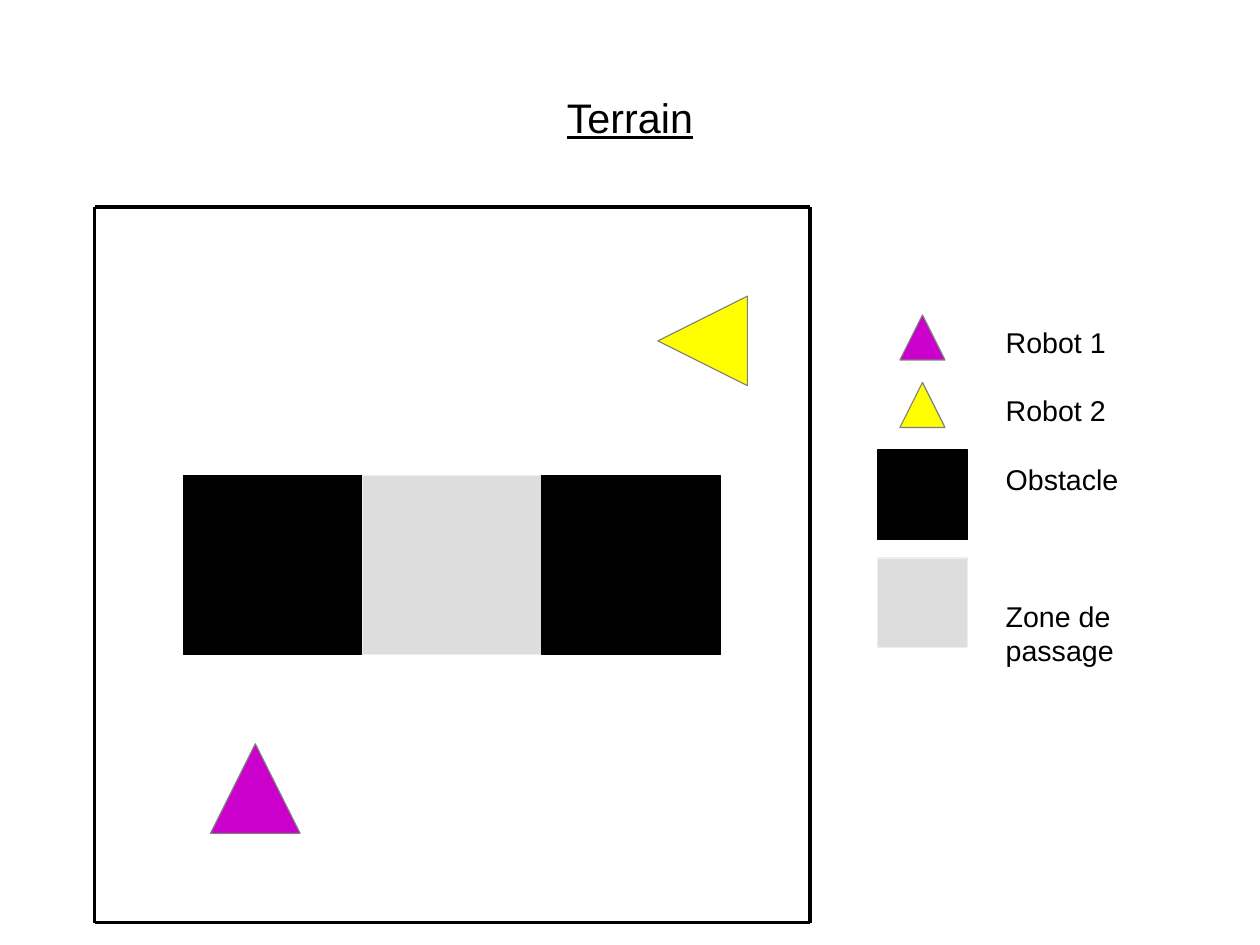
from dataclasses import dataclass

from pptx import Presentation
from pptx.dml.color import RGBColor
from pptx.enum.shapes import MSO_CONNECTOR, MSO_SHAPE
from pptx.enum.text import MSO_ANCHOR, MSO_AUTO_SIZE, PP_ALIGN
from pptx.oxml.ns import qn
from pptx.util import Cm, Pt

RECT, TRIANGLE = MSO_SHAPE.RECTANGLE, MSO_SHAPE.ISOSCELES_TRIANGLE
STRAIGHT = MSO_CONNECTOR.STRAIGHT
TOP, MIDDLE = MSO_ANCHOR.TOP, MSO_ANCHOR.MIDDLE
CENTER, LEFT = PP_ALIGN.CENTER, PP_ALIGN.LEFT
NO_FIT = MSO_AUTO_SIZE.NONE
TITLE_ONLY = 5


@dataclass(frozen=True)
class Theme:
    font: str = "Arial"
    title_size: float = 26
    label_size: float = 18
    label_pitch: float = 21.6
    hairline: float = 0
    ink: str = "000000"
    robot_1: str = "CC00CC"
    robot_2: str = "FFFF00"
    robot_edge: str = "808080"
    passage: str = "DDDDDD"
    passage_edge: str = "EEEEEE"


THEME = Theme()


def set_attrs(target, values):
    for name, value in values.items():
        setattr(target, name, value)


def add_text(p, text, size, underline=False):
    r = p.add_run()
    r.text = text
    set_attrs(r.font, {"name": THEME.font, "size": Pt(size), "underline": underline})
    r.font.color.rgb = RGBColor.from_string(THEME.ink)


def set_line(line, color):
    line.color.rgb = RGBColor.from_string(color)
    line.width = Pt(THEME.hairline)


def add_title(s, text):
    sp = s.shapes.title
    set_attrs(sp, {"left": Cm(1.4), "top": Cm(0.84), "width": Cm(25.2), "height": Cm(3.5)})
    tf = sp.text_frame
    set_attrs(tf, {"margin_left": 0, "margin_top": 0, "margin_right": 0, "margin_bottom": 0,
                   "vertical_anchor": MIDDLE, "auto_size": NO_FIT})
    p = tf.paragraphs[0]
    p.alignment = CENTER
    add_text(p, text, THEME.title_size, underline=True)


def add_border(s, left, top, side):
    right, bottom = left + side, top + side
    edges = [(left, top, right, top), (left, top, left, bottom),
             (left, bottom, right, bottom), (right, top, right, bottom)]
    for edge in edges:
        line = s.shapes.add_connector(STRAIGHT, *map(Cm, edge))
        set_line(line.line, THEME.ink)
        sp_pr = line._element.spPr
        sp_pr.append(sp_pr.makeelement(qn("a:effectLst"), {}))


def add_mark(s, kind, left, top, side, fill, edge, rotation=0):
    sp = s.shapes.add_shape(kind, Cm(left), Cm(top), Cm(side), Cm(side))
    sp.shadow.inherit = False
    sp.rotation = rotation
    sp.fill.solid()
    sp.fill.fore_color.rgb = RGBColor.from_string(fill)
    set_line(sp.line, edge)


def add_robot(s, left, top, side, color, rotation=0):
    add_mark(s, TRIANGLE, left, top, side, color, THEME.robot_edge, rotation)


def add_obstacle(s, left, top, side):
    add_mark(s, RECT, left, top, side, THEME.ink, THEME.ink)


def add_passage(s, left, top, side):
    add_mark(s, RECT, left, top, side, THEME.passage, THEME.passage_edge)


def add_labels(s, labels):
    tf = s.shapes.add_textbox(Cm(22.1), Cm(7.09), Cm(5.4), Cm(7.4)).text_frame
    set_attrs(tf, {"word_wrap": True, "vertical_anchor": TOP, "auto_size": NO_FIT})
    for i, (text, lines_before) in enumerate(labels):
        p = tf.add_paragraph() if i else tf.paragraphs[0]
        set_attrs(p, {"alignment": LEFT, "line_spacing": Pt(THEME.label_pitch),
                      "space_before": Pt(lines_before * THEME.label_pitch)})
        add_text(p, text, THEME.label_size)


def main():
    prs = Presentation()
    prs.slide_width, prs.slide_height = Cm(28), Cm(21)
    s = prs.slides.add_slide(prs.slide_layouts[TITLE_ONLY])
    add_title(s, "Terrain")

    # Field: a row of three equal blocks and two robots
    add_border(s, left=2.1, top=4.6, side=15.9)
    block, row_left, row_top = 3.98, 4.08, 10.57
    for column, add_block in enumerate((add_obstacle, add_passage, add_obstacle)):
        add_block(s, row_left + column * block, row_top, block)
    add_robot(s, 4.68, 16.53, 1.99, THEME.robot_1)
    add_robot(s, 14.62, 6.58, 1.99, THEME.robot_2, rotation=270)

    # Legend
    add_robot(s, 20, 7, 1, THEME.robot_1)
    add_robot(s, 20, 8.5, 1, THEME.robot_2)
    add_obstacle(s, 19.5, 10, 2)
    add_passage(s, 19.5, 12.4, 2)
    add_labels(s, [("Robot 1", 0), ("Robot 2", 1), ("Obstacle", 1), ("Zone de passage", 3)])

    prs.save("out.pptx")


if __name__ == "__main__":
    main()
